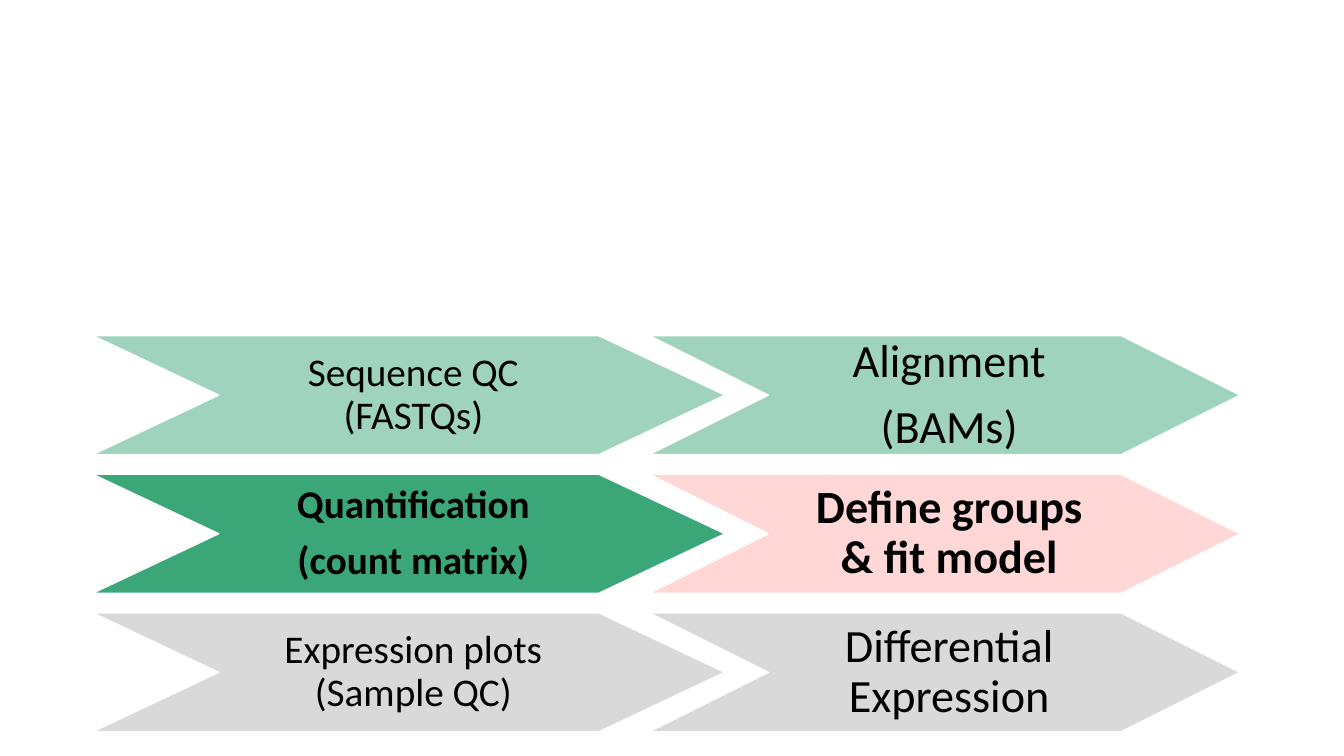
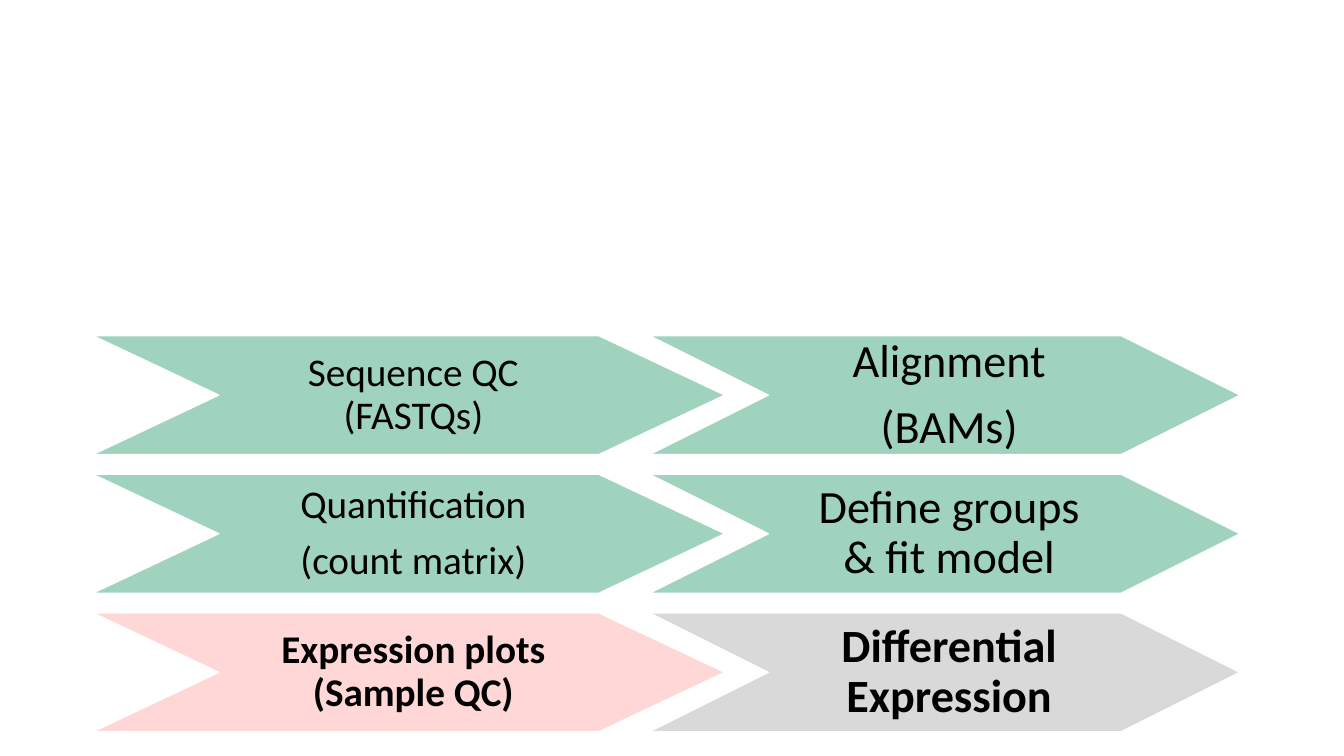
from pptx import Presentation
from pptx.dml.color import RGBColor
from pptx.enum.shapes import MSO_SHAPE as SHAPE
from pptx.enum.text import MSO_ANCHOR as ANCHOR, PP_ALIGN as ALIGN
from pptx.util import Inches, Pt

FONT = "Calibri"
BLACK, WHITE = "000000", "FFFFFF"
DONE, CURRENT, MODEL, PENDING = "9FD3BD", "3BA779", "FFD7D7", "D8D9D8"

FIRST_TOP, LAST_TOP, HEIGHT = 3.33, 6.08, 1.18
COLUMNS = [
    {"left": 0.92, "width": 6.27, "point": 1.25, "size": 28},
    {"left": 6.44, "width": 5.86, "point": 1.18, "size": 33},
]
STEPS = [
    "Sequence QC\v(FASTQs)", "Alignment\n(BAMs)",
    "Quantification\n(count matrix)", "Define groups\v& fit model",
    "Expression plots\v(Sample QC)", "Differential Expression",
]
ROW_PITCH = (LAST_TOP - FIRST_TOP) / (len(STEPS) // len(COLUMNS) - 1)
PAGES = [
    {"fills": [DONE, DONE, CURRENT, MODEL, PENDING, PENDING], "bold": {2, 3}},
    {"fills": [DONE, DONE, DONE, DONE, MODEL, PENDING], "bold": {4, 5}},
]


def color(value):
    return RGBColor.from_string(value)


def add_step(page, index, fill, bold):
    row, column_index = divmod(index, len(COLUMNS))
    column = COLUMNS[column_index]
    chevron = page.shapes.add_shape(
        SHAPE.CHEVRON,
        Inches(column["left"]), Inches(FIRST_TOP + row * ROW_PITCH),
        Inches(column["width"]), Inches(HEIGHT),
    )
    chevron.adjustments[0] = column["point"] / HEIGHT
    chevron.shadow.inherit = False
    chevron.fill.solid()
    chevron.fill.fore_color.rgb = color(fill)
    chevron.line.color.rgb = color(WHITE)
    chevron.line.width = Pt(1)

    frame = chevron.text_frame
    frame.word_wrap = True
    frame.vertical_anchor = ANCHOR.MIDDLE
    frame.margin_left, frame.margin_right = Inches(0.1), Inches(0.01)
    frame.margin_top = frame.margin_bottom = Inches(0.05)
    frame.text = STEPS[index]
    for para in frame.paragraphs:
        para.alignment = ALIGN.CENTER
        para.line_spacing = 0.9
        para.space_after = Pt(0.35 * column["size"])
        for span in para.runs:
            span.font.name = FONT
            span.font.size = Pt(column["size"])
            span.font.bold = bold
            span.font.color.rgb = color(BLACK)


deck = Presentation()
deck.slide_width, deck.slide_height = Inches(13.33), Inches(7.5)

for content in PAGES:
    page = deck.slides.add_slide(deck.slide_layouts[6])
    for index, fill in enumerate(content["fills"]):
        add_step(page, index, fill, index in content["bold"])

deck.save("out.pptx")
